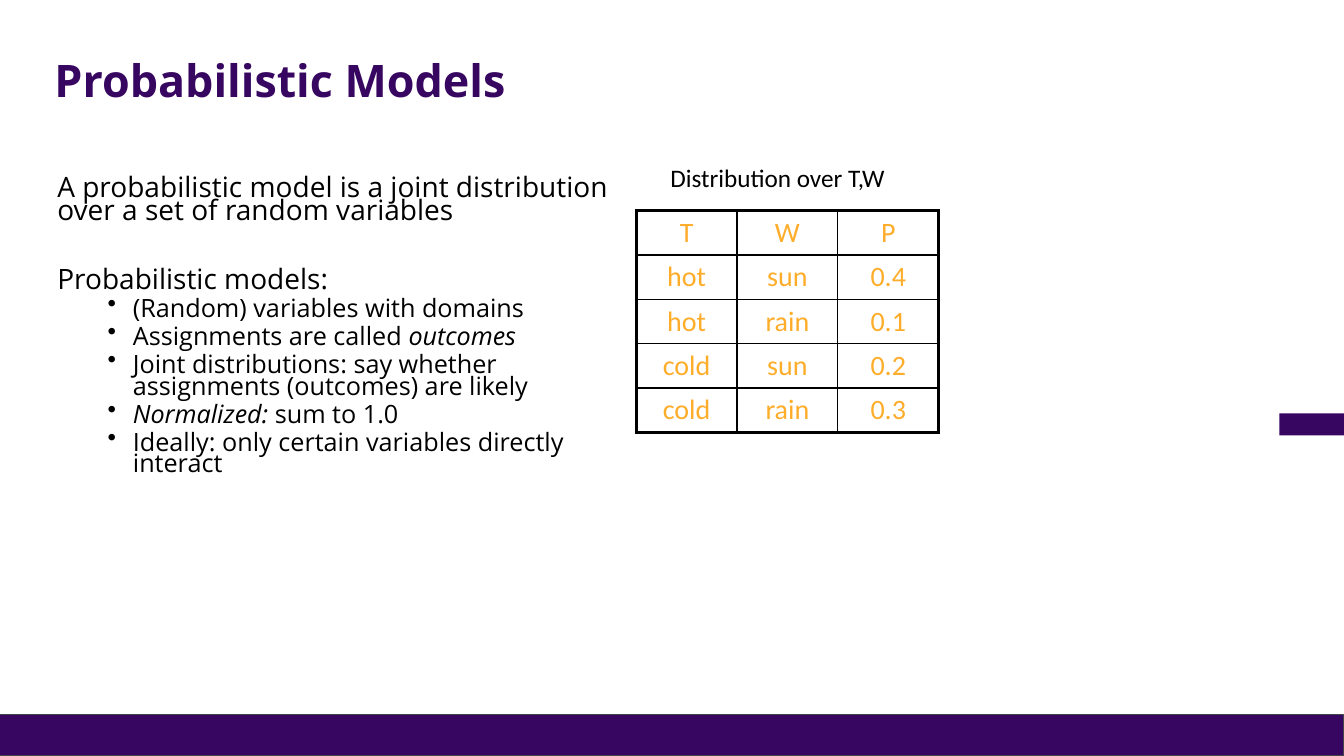
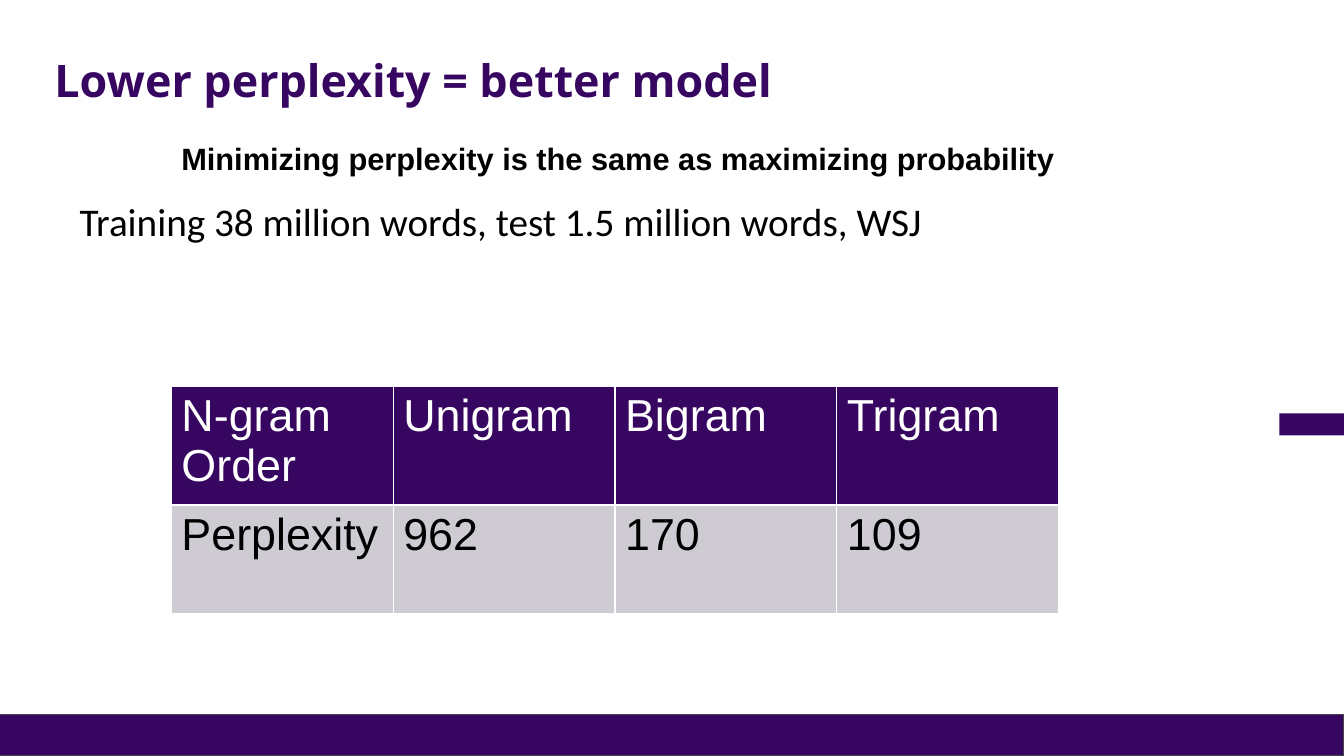
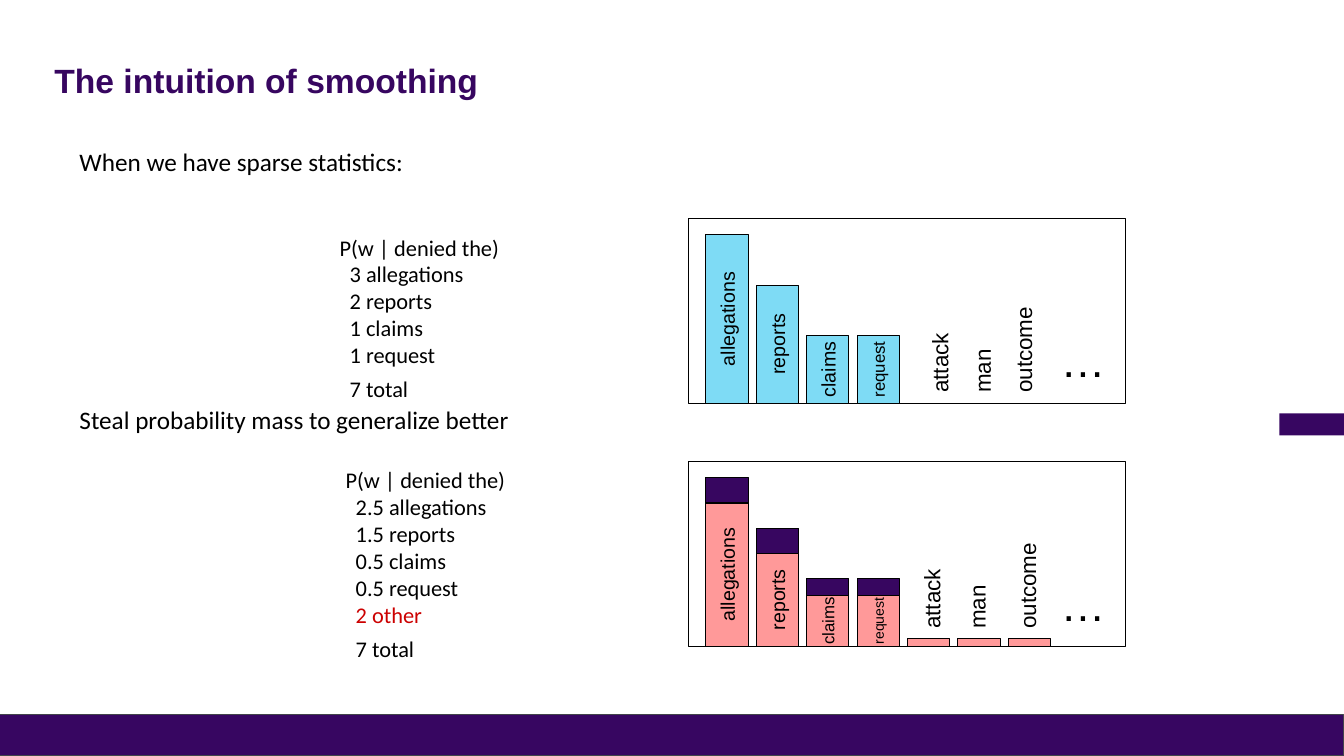
import pptx
import pptx.util
import pptx.dml.color
import pptx.enum.dml
import pptx.enum.shapes
import pptx.enum.text
import pptx.oxml
import pptx.oxml.ns

Inches = pptx.util.Inches
Pt = pptx.util.Pt
RGBColor = pptx.dml.color.RGBColor
ALIGN = pptx.enum.text.PP_ALIGN
ANCHOR = pptx.enum.text.MSO_ANCHOR
RECTANGLE = pptx.enum.shapes.MSO_SHAPE.RECTANGLE

PURPLE = RGBColor(0x37, 0x06, 0x60)
BAND_PURPLE = RGBColor(0x37, 0x06, 0x61)
BAND_EDGE = RGBColor(0x43, 0x45, 0x4B)
BLACK = RGBColor(0, 0, 0)
WHITE = RGBColor(255, 255, 255)
ORANGE = RGBColor(0xFE, 0xAD, 0x2B)
GREY = RGBColor(0xCE, 0xCC, 0xD2)
SKY = RGBColor(0x7E, 0xDB, 0xF5)
PINK = RGBColor(0xFF, 0x99, 0x99)
RED = RGBColor(0xCC, 0, 0)

WIDTH, HEIGHT = 13.33, 7.5
PANEL_LEFT, PANEL_WIDTH, PANEL_HEIGHT = 6.83, 4.33, 1.83
BAR_LEFT, BAR_WIDTH, BAR_PITCH = 7.0, 0.42, 0.5
LABEL_LENGTH, LABEL_WIDTH = 1.25, 0.37


def box(left, top, width, height):
    """Return the four lengths in EMU."""
    return [Inches(length) for length in (left, top, width, height)]


def style(paragraph, size, face, color=BLACK, bold=None):
    """Set the font of a whole paragraph."""
    font = paragraph.font
    font.size, font.name, font.bold = Pt(size), face, bold
    font.color.rgb = color


def indent(paragraph, margin, hanging=0, bullet=None):
    """Indent a paragraph, with a bullet if one is given."""
    properties = paragraph._p.get_or_add_pPr()
    properties.set("marL", str(Inches(margin)))
    properties.set("indent", str(Inches(-hanging)))
    if bullet:
        mark = pptx.oxml.parse_xml(
            f'<a:buChar {pptx.oxml.ns.nsdecls("a")} char="{bullet}"/>')
        properties.append(mark)


def add_rect(slide, place, fill=None, line=BLACK):
    """Add a flat rectangle."""
    rect = slide.shapes.add_shape(RECTANGLE, *box(*place))
    rect.shadow.inherit = False
    if fill is None:
        rect.fill.background()
    else:
        rect.fill.solid()
        rect.fill.fore_color.rgb = fill
    if line is None:
        rect.line.fill.background()
    else:
        rect.line.color.rgb = line
        rect.line.width = Pt(0.75)
    return rect


def add_text(slide, place, lines, size, face, bold=None):
    """Add a wrapped text box and return its paragraphs."""
    area = slide.shapes.add_textbox(*box(*place))
    frame = area.text_frame
    frame.word_wrap = True
    frame.text = "\n".join(lines)
    for paragraph in frame.paragraphs:
        style(paragraph, size, face, bold=bold)
    return area, frame.paragraphs


def add_slide(deck, heading, size=32, face="Open Sans"):
    """Add a slide with the shared bands and title."""
    slide = deck.slides.add_slide(deck.slide_layouts[5])
    add_rect(slide, (0, 7.09, WIDTH, 0.41), BAND_PURPLE, BAND_EDGE)
    add_rect(slide, (12.69, 4.1, 0.64, 0.22), BAND_PURPLE, None)
    title = slide.shapes.title
    title.left, title.top, title.width, title.height = box(0.44, 0.4, 11.98, 0.84)
    frame = title.text_frame
    frame.text = heading
    frame.auto_size = pptx.enum.text.MSO_AUTO_SIZE.NONE
    frame.vertical_anchor = ANCHOR.MIDDLE
    paragraph = frame.paragraphs[0]
    paragraph.alignment = ALIGN.LEFT
    paragraph.line_spacing = 0.9
    style(paragraph, size, face, PURPLE, True)
    return slide


def set_borders(cell, color, widths):
    """Draw the left, right, top and bottom borders of a cell."""
    properties = cell._tc.get_or_add_tcPr()
    for side, width in zip("LRTB", widths):
        properties.append(pptx.oxml.parse_xml(
            f'<a:ln{side} {pptx.oxml.ns.nsdecls("a")} w="{Pt(width)}"><a:solidFill>'
            f'<a:srgbClr val="{color}"/></a:solidFill></a:ln{side}>'))


def add_grid(slide, left, top, column_width, row_heights, rows, size, face,
             text_colors, fills, edge, outer, align):
    """Add a table with an outer and an inner border width."""
    last_row, last_column = len(rows) - 1, len(rows[0]) - 1
    place = box(left, top, column_width * len(rows[0]), sum(row_heights))
    table = slide.shapes.add_table(len(rows), len(rows[0]), *place).table
    table.first_row = table.horz_banding = False
    for column in table.columns:
        column.width = Inches(column_width)
    for r, (row, height) in enumerate(zip(rows, row_heights)):
        table.rows[r].height = Inches(height)
        for c, value in enumerate(row):
            cell = table.cell(r, c)
            cell.text = value
            paragraph = cell.text_frame.paragraphs[0]
            paragraph.alignment = align
            style(paragraph, size, face, text_colors[r])
            at_edge = (c == 0, c == last_column, r == 0, r == last_row)
            set_borders(cell, edge, [outer if end else 1 for end in at_edge])
            if fills[r] is None:
                cell.fill.background()
            else:
                cell.fill.solid()
                cell.fill.fore_color.rgb = fills[r]


def add_bar(slide, column, base, height, fill, word=None, size=14):
    """Add an upright bar, its word reading upwards."""
    center = BAR_LEFT + column * BAR_PITCH + BAR_WIDTH / 2
    bar = add_rect(slide, (center - height / 2, base - height / 2 - BAR_WIDTH / 2,
                           height, BAR_WIDTH), fill)
    bar.rotation = 270
    if word:
        frame = bar.text_frame
        frame.text = word
        frame.word_wrap = False
        frame.vertical_anchor = ANCHOR.MIDDLE
        frame.paragraphs[0].alignment = ALIGN.CENTER
        style(frame.paragraphs[0], size, "Arial")


def add_panel(slide, top, label_centers, label_middle, dots_top):
    """Add a chart frame with the words that were never seen."""
    add_rect(slide, (PANEL_LEFT, top, PANEL_WIDTH, PANEL_HEIGHT))
    for word, center in zip(("attack", "man", "outcome"), label_centers):
        place = (center - LABEL_LENGTH / 2, label_middle - LABEL_WIDTH / 2,
                 LABEL_LENGTH, LABEL_WIDTH)
        label, _ = add_text(slide, place, [word], 16, "Arial")
        label.rotation = 270
    add_text(slide, (10.42, dots_top, 0.58, 0.64), ["…"], 32, "Arial")


def add_counts(slide, left, top, counts):
    """Add a list of word counts under its probability."""
    lines = ["P(w | denied the)", *counts, "7 total"]
    _, paragraphs = add_text(slide, (left, top, 2.67, 2), lines, 16, "Calibri")
    for paragraph in paragraphs[1:]:
        indent(paragraph, 0.1)
    paragraphs[-1].space_before = Pt(5)
    return paragraphs


def build_models(deck):
    """Build the slide on probabilistic models."""
    slide = add_slide(deck, "Probabilistic Models")
    statements = [
        "A probabilistic model is a joint distribution over a set of random variables",
        "Probabilistic models:"]
    points = [
        [("(Random) variables with domains", False)],
        [("Assignments are called ", False), ("outcomes", True)],
        [("Joint distributions: say whether assignments (outcomes) are likely", False)],
        [("Normalized:", True), (" sum to 1.0", False)],
        [("Ideally: only certain variables directly interact", False)]]
    body, paragraphs = add_text(slide, (0.47, 1.72, 5.77, 5.25), statements,
                                20, "Open Sans")
    paragraphs[1].space_before = Pt(32)
    for point in points:
        paragraph = body.text_frame.add_paragraph()
        indent(paragraph, 0.75, 0.25, "•")
        paragraph.space_before = Pt(5)
        style(paragraph, 18, "Open Sans")
        for words, italic in point:
            run = paragraph.add_run()
            run.text = words
            if italic:
                run.font.italic = True
    for paragraph in body.text_frame.paragraphs:
        paragraph.line_spacing = 0.7
    weather = [("T", "W", "P"), ("hot", "sun", "0.4"), ("hot", "rain", "0.1"),
               ("cold", "sun", "0.2"), ("cold", "rain", "0.3")]
    add_grid(slide, 6.31, 2.09, 1, [0.44] * 5, weather, 20, "Calibri",
             [ORANGE] * 5, [None] * 5, BLACK, 2.25, ALIGN.CENTER)
    add_text(slide, (6.55, 1.56, 2.63, 0.4), ["Distribution over T,W"], 18, "Calibri")


def build_perplexity(deck):
    """Build the slide on perplexity."""
    slide = add_slide(deck, "Lower perplexity = better model")
    add_text(slide, (0.69, 1.91, 11.25, 0.6),
             ["Training 38 million words, test 1.5 million words, WSJ"], 28, "Calibri")
    scores = [("N-gram Order", "Unigram", "Bigram", "Trigram"),
              ("Perplexity", "962", "170", "109")]
    add_grid(slide, 1.7, 3.83, 2.2, [1.18, 1.08], scores, 32, "Arial",
             [WHITE, BLACK], [PURPLE, GREY], WHITE, 1, ALIGN.LEFT)
    add_text(slide, (1.7, 1.34, 8.98, 0.47),
             ["Minimizing perplexity is the same as maximizing probability"],
             22, "Arial", True)


def build_smoothing(deck):
    """Build the slide on smoothing."""
    slide = add_slide(deck, "The intuition of smoothing", 24, "Arial")
    for top, statement in ((1.4, "When we have sparse statistics:"),
                           (3.96, "Steal probability mass to generalize better")):
        add_text(slide, (0.69, top, 5.5, 0.4), [statement], 18, "Calibri")
    add_counts(slide, 3.27, 2.27, ["3 allegations", "2 reports", "1 claims", "1 request"])
    smoothed = add_counts(slide, 3.33, 4.58, [
        "2.5 allegations", "1.5 reports", "0.5 claims", "0.5 request", "2 other"])
    smoothed[5].font.color.rgb = RED

    words = ("allegations", "reports", "claims", "request")
    heights = (1.67, 1.17, 0.67, 0.67)
    sparse_top, smooth_top = 2.17, 4.58
    sparse_base, smooth_base = sparse_top + PANEL_HEIGHT, smooth_top + PANEL_HEIGHT
    add_panel(slide, sparse_top, (9.32, 9.74, 10.15), 3.37, 3.25)
    for column, (word, height, size) in enumerate(zip(words, heights, (14, 14, 14, 12))):
        add_bar(slide, column, sparse_base, height, SKY, word, size)
    add_panel(slide, smooth_top, (9.24, 9.69, 10.19), 5.71, 5.67)
    kept = zip(words, heights, (1.42, 0.92, 0.5, 0.5), (14, 14, 12, 10))
    for column, (word, height, rest, size) in enumerate(kept):
        add_bar(slide, column, smooth_base, height, PURPLE)
        add_bar(slide, column, smooth_base, rest, PINK, word, size)
    for column in range(len(words), len(words) + 3):
        add_bar(slide, column, smooth_base, 0.08, PINK)


def main():
    """Build and save the presentation."""
    deck = pptx.Presentation()
    deck.slide_width, deck.slide_height = Inches(WIDTH), Inches(HEIGHT)
    build_models(deck)
    build_perplexity(deck)
    build_smoothing(deck)
    deck.save("out.pptx")


if __name__ == "__main__":
    main()
